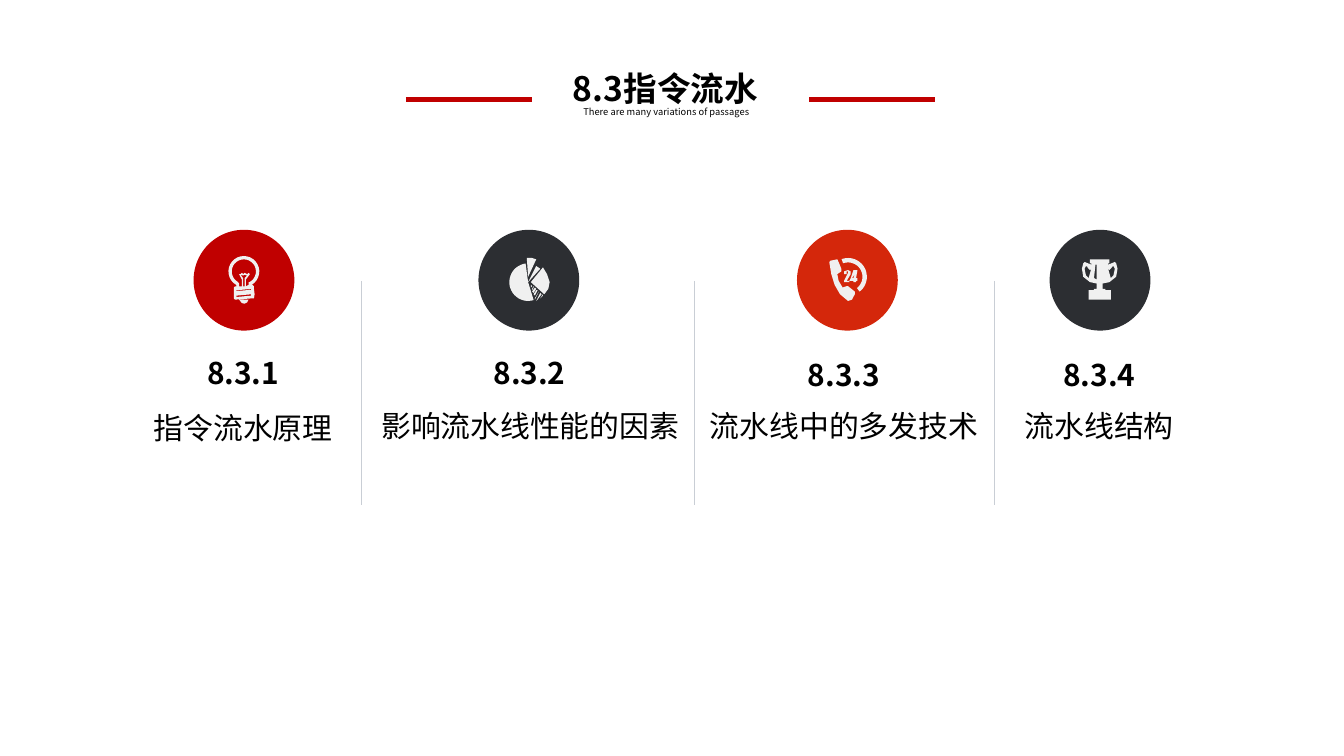
from dataclasses import dataclass
from math import cos, radians, sin

from lxml.etree import SubElement
from pptx import Presentation
from pptx.dml.color import RGBColor
from pptx.enum.shapes import MSO_CONNECTOR, MSO_SHAPE
from pptx.enum.text import MSO_AUTO_SIZE, PP_ALIGN
from pptx.oxml.ns import qn
from pptx.util import Inches, Pt

Point = tuple[float, float]
Contour = list[Point]


@dataclass(frozen=True)
class Theme:
    font: str = "Noto Sans CJK SC"
    text: str = "000000"
    red: str = "C00000"
    orange: str = "D4270B"
    dark: str = "2C2E32"
    icon: str = "F0F0F0"
    divider: str = "C9CED5"
    title_size: float = 18
    topic_size: float = 16
    caption_size: float = 5


@dataclass(frozen=True)
class Box:
    left: float
    top: float
    width: float
    height: float


@dataclass(frozen=True)
class Topic:
    number: str
    number_box: Box
    name: str
    name_box: Box
    disc_left: float
    color: str
    icon: list[Contour]
    icon_at: Point
    wrap_number: bool = False


THEME = Theme()
DISC_TOP, DISC_SIZE = 1.71, 0.75


def arc(cx: float, cy: float, radius: float, start: int, end: int) -> Contour:
    """Points on a circle, angles in degrees clockwise from the right."""
    steps = 24
    angles = [radians(start + (end - start) * i / steps) for i in range(steps + 1)]
    return [(cx + radius * cos(a), cy + radius * sin(a)) for a in angles]


def mirror(points: Contour, width: float) -> Contour:
    return [(width - x, y) for x, y in reversed(points)]


# Icon outlines, in hundredths of an inch from the icon's top left corner
BULB = [
    arc(11.5, 12, 11.5, 120, 420)
    + [(17, 22), (18, 22), (19, 23), (19, 25), (19.5, 29), (19, 32), (18, 32),
       (5, 33), (4, 32), (4, 28), (4, 24), (5, 23), (6, 23)],
    arc(11.5, 12, 9, 120, 420)
    + [(15, 20), (15, 22), (13, 23), (13, 18), (16, 14), (15, 13), (14, 14),
       (12, 13), (11, 14), (10, 13), (9, 14), (8, 14), (10, 18), (10, 23), (8, 23), (8, 21)],
    [(14, 15), (12, 14.5), (11, 15), (9, 14.5), (11, 17), (11, 23), (12, 23), (12, 17)],
    [(15, 33), (8, 33), (10, 35.5), (12, 36), (14, 35)],
    [(17, 29), (6, 30), (6, 31), (17, 30)],
    [(17, 25), (6, 26), (6, 26.6), (17, 25.6)],
]
PIE = [
    [(16, 18), (25, 7), (28, 12), (30, 18), (29, 23), (26, 27)],
    [(14, 18)] + arc(14, 18, 14, -98, -287),
    [(14, 18), (20, 6), (23, 8)],
    [(14, 0), (13, 0), (14, 14), (20, 1), (17, 0)],
    [(25, 28), (23, 30), (25, 27)],
    [(21, 31), (24, 27), (23, 26), (20, 32)],
    [(19, 31), (22, 25), (19, 30)],
    [(19, 28), (21, 24), (20, 24), (18, 27)],
    [(18, 26), (20, 23), (19, 22), (17, 25)],
    [(17, 24), (18, 22), (18, 21), (17, 23)],
    [(16, 22), (17, 21), (16, 20), (16, 21)],
]
PHONE = [
    [(17, 31), (19, 27), (19, 25), (14, 21), (13, 21), (10, 22), (7, 17), (6, 12),
     (9, 10), (9, 8), (7, 3), (6, 1), (1, 2), (0, 3), (1.5, 12), (4, 20), (8, 27), (14, 32)],
    [(15, 18), (11, 18), (11, 17), (13, 13), (14, 11), (14, 10), (13, 10), (13, 12),
     (11, 12), (11, 10), (14, 9), (16, 10), (16, 12), (13, 17), (15, 17)],
    [(21, 17), (20, 17), (20, 18), (18, 18), (18, 17), (15, 17), (16, 15), (18, 9),
     (21, 9), (20, 15), (21, 15)],
    [(18, 15), (17, 15), (19, 12)],
    arc(14, 14, 14, -110, 52) + arc(14, 14, 10.7, 52, -110),
]
CUP_WIDTH = 26.5
CUP_SIDE = [(6, 0), (6, 3), (7, 3), (7, 4), (2, 2), (1, 3), (0, 7), (1, 13), (6, 17),
            (11, 18), (11, 22), (9, 22), (9, 23), (5, 23), (5, 30)]
CUP_HANDLE = [(7, 7), (5, 14), (3, 12), (2, 7), (3, 5), (5, 6), (4, 6), (6, 8)]
TROPHY = [
    CUP_SIDE + mirror(CUP_SIDE, CUP_WIDTH),
    CUP_HANDLE,
    mirror(CUP_HANDLE, CUP_WIDTH),
    [(11, 4), (11, 15), (9, 14), (10, 5), (10, 4)],
]

TOPICS = [
    Topic("8.3.1", Box(1.43, 2.32, 0.76, 0.64), "指令流水原理", Box(0.85, 2.73, 1.92, 0.64),
          1.44, THEME.red, BULB, (1.7, 1.9)),
    Topic("8.3.2", Box(3.44, 2.32, 1, 0.64), "影响流水线性能的因素", Box(2.69, 2.72, 2.51, 0.64),
          3.56, THEME.dark, PIE, (3.79, 1.92), wrap_number=True),
    Topic("8.3.3", Box(5.9, 2.34, 0.76, 0.64), "流水线中的多发技术", Box(5.17, 2.72, 2.22, 0.64),
          5.93, THEME.orange, PHONE, (6.17, 1.92)),
    Topic("8.3.4", Box(7.8, 2.34, 0.76, 0.64), "流水线结构", Box(7.22, 2.72, 1.92, 0.64),
          7.81, THEME.dark, TROPHY, (8.05, 1.93)),
]


def add_text(s, text: str, box: Box, size: float, bold: bool = False, wrap: bool = True,
             align=PP_ALIGN.CENTER, spacing: float = 1, inset: bool = True) -> None:
    sp = s.shapes.add_textbox(*map(Inches, (box.left, box.top, box.width, box.height)))
    tf = sp.text_frame
    tf.word_wrap = wrap
    tf.auto_size = MSO_AUTO_SIZE.SHAPE_TO_FIT_TEXT
    if not inset:
        tf.margin_left = tf.margin_top = tf.margin_right = tf.margin_bottom = 0
    tf.text = text
    p = tf.paragraphs[0]
    p.alignment = align
    p.line_spacing = spacing
    r = p.runs[0]
    r.font.size = Pt(size)
    r.font.bold = bold
    r.font.color.rgb = RGBColor.from_string(THEME.text)
    r.font.name = THEME.font
    SubElement(r.font._element, qn("a:ea")).set("typeface", THEME.font)


def add_line(s, start: Point, end: Point, color: str, width: float) -> None:
    line = s.shapes.add_connector(MSO_CONNECTOR.STRAIGHT, *map(Inches, start + end))
    line.line.color.rgb = RGBColor.from_string(color)
    line.line.width = Pt(width)
    SubElement(line._element.spPr, qn("a:effectLst"))


def paint(sp, color: str) -> None:
    sp.shadow.inherit = False
    sp.fill.solid()
    sp.fill.fore_color.rgb = RGBColor.from_string(color)
    sp.line.fill.background()


def add_icon(s, contours: list[Contour], at: Point, color: str) -> None:
    # Ten steps to each hundredth of an inch keep the curves smooth
    first, *rest = [[(round(10 * x), round(10 * y)) for x, y in c] for c in contours]
    fb = s.shapes.build_freeform(*first[0], scale=Inches(0.001))
    fb.add_line_segments(first[1:], close=True)
    for contour in rest:
        fb.move_to(*contour[0])
        fb.add_line_segments(contour[1:], close=True)
    paint(fb.convert_to_shape(*map(Inches, at)), color)


def add_topic(s, topic: Topic) -> None:
    disc = s.shapes.add_shape(MSO_SHAPE.OVAL, *map(
        Inches, (topic.disc_left, DISC_TOP, DISC_SIZE, DISC_SIZE)))
    paint(disc, topic.color)
    add_icon(s, topic.icon, topic.icon_at, THEME.icon)
    add_text(s, topic.number, topic.number_box, THEME.topic_size, bold=True,
             wrap=topic.wrap_number, spacing=2.0)
    add_text(s, topic.name, topic.name_box, THEME.topic_size, spacing=2.0)


def main() -> None:
    prs = Presentation()
    prs.slide_width = Inches(10)
    prs.slide_height = prs.slide_width * 9 // 16
    s = prs.slides.add_slide(prs.slide_layouts[6])

    add_text(s, "8.3指令流水 ", Box(4.11, 0.46, 1.74, 0.4), THEME.title_size, bold=True)
    add_text(s, "There are many variations of passages", Box(4.34, 0.79, 1.44, 0.08),
             THEME.caption_size, align=PP_ALIGN.LEFT, inset=False)
    for x in (3.02, 6.02):
        add_line(s, (x, 0.74), (x + 0.94, 0.74), THEME.red, 2.5)
    for topic in TOPICS:
        add_topic(s, topic)
    for x in (2.69, 5.17, 7.4):
        add_line(s, (x, 2.09), (x, 3.76), THEME.divider, 0.5)
    prs.save("out.pptx")


if __name__ == "__main__":
    main()
